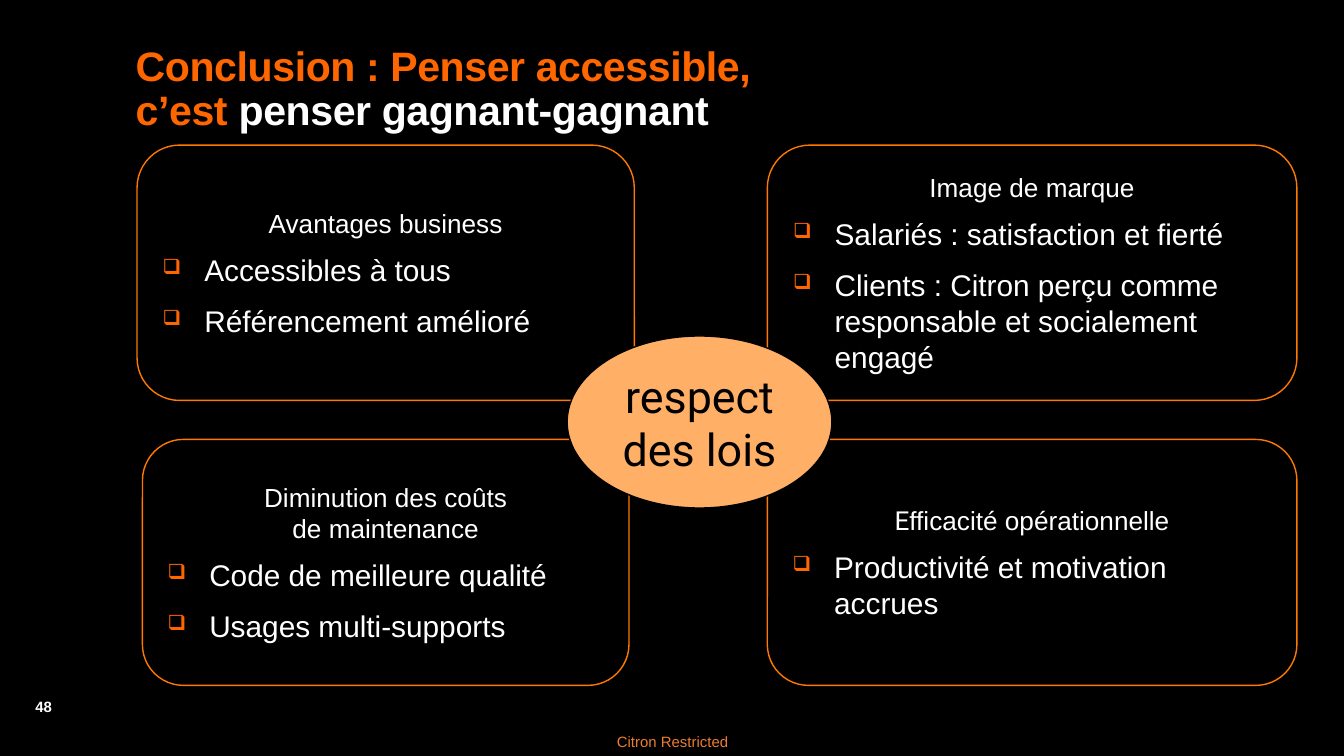
from lxml import etree
from pptx import Presentation
from pptx import util as u
from pptx.dml.color import RGBColor
from pptx.enum import shapes, text
from pptx.oxml import ns

CELL = u.Inches(0.1)
COLUMNS, ROWS = 100, 56.25
BLACK, WHITE, ORANGE = "000000", "FFFFFF", "FF6600"
BORDER, PEACH, FOOTER = "FF7900", "FFAF66", "ED7D31"
CENTER, LEFT = text.PP_ALIGN.CENTER, text.PP_ALIGN.LEFT
MIDDLE, TOP = text.MSO_ANCHOR.MIDDLE, text.MSO_ANCHOR.TOP

CARDS = [
    ((10.2, 10.8, 37, 19), [("Avantages business", "Arial")],
     ["Accessibles à tous", "Référencement amélioré"]),
    ((57.1, 10.8, 39.4, 19), [("Image de marque", "Arial")],
     ["Salariés : satisfaction et fierté",
      "Clients : Citron perçu comme responsable et socialement engagé"]),
    ((10.6, 32.7, 36.2, 18.3), [("Diminution des coûts\nde maintenance", "Arial")],
     ["Code de meilleure qualité", "Usages multi-supports"]),
    ((57.1, 32.7, 39.4, 18.3), [("E", "Roboto"), ("fficacité opérationnelle", "Arial")],
     ["Productivité et motivation accrues"]),
]


def color(value):
    return RGBColor.from_string(value)


def write(para, words, size=16, font="Arial", ink=WHITE, bold=False, spacing=0):
    for index, line in enumerate(words.split("\n")):
        if index:
            para.add_line_break()
        if not line:
            continue
        span = para.add_run()
        span.text = line
        span.font.size = u.Pt(size)
        span.font.name = font
        span.font.bold = bold
        span.font.color.rgb = color(ink)
        if spacing:
            span.font._element.set("spc", str(round(spacing * 100)))


def add_bullet(para):
    props = para._p.get_or_add_pPr()
    indent = u.Inches(0.31)
    props.set("marL", str(indent))
    props.set("indent", str(-indent))
    tint = etree.SubElement(props, ns.qn("a:buClr"))
    etree.SubElement(tint, ns.qn("a:srgbClr"), val=ORANGE)
    etree.SubElement(props, ns.qn("a:buSzPct"), val="70000")
    etree.SubElement(props, ns.qn("a:buChar"), char="❑")


class SlideBuilder:
    def __init__(self, deck):
        self.slide = deck.slides.add_slide(deck.slide_layouts[5])
        fill = self.slide.background.fill
        fill.solid()
        fill.fore_color.rgb = color(BLACK)

    def grid(self, *cells):
        return [u.Emu(round(cell * CELL)) for cell in cells]

    def frame(self, box, anchor=MIDDLE, wrap=True):
        frame = box.text_frame
        frame.word_wrap = wrap
        frame.auto_size = text.MSO_AUTO_SIZE.NONE
        frame.vertical_anchor = anchor
        return frame

    def title(self, place, spans):
        box = self.slide.shapes.title
        box.left, box.top, box.width, box.height = self.grid(*place)
        para = self.frame(box, TOP).paragraphs[0]
        para.alignment = LEFT
        para.line_spacing = 0.9
        for words, ink in spans:
            write(para, words, size=22, ink=ink, bold=True, spacing=-0.2)

    def label(self, place, words, margin=None, wrap=True, anchor=MIDDLE, **style):
        box = self.slide.shapes.add_textbox(*self.grid(*place))
        frame = self.frame(box, anchor, wrap)
        if margin is not None:
            frame.margin_left = frame.margin_right = margin
            frame.margin_top = frame.margin_bottom = margin
        para = frame.paragraphs[0]
        para.alignment = CENTER
        write(para, words, size=8, **style)

    def outline(self, kind, place, line, fill=None):
        box = self.slide.shapes.add_shape(kind, *self.grid(*place))
        box.shadow.inherit = False
        box.line.color.rgb = color(line)
        box.line.width = u.Pt(0.75)
        if fill:
            box.fill.solid()
            box.fill.fore_color.rgb = color(fill)
        else:
            box.fill.background()
        return self.frame(box)

    def card(self, place, heading, points):
        frame = self.outline(shapes.MSO_SHAPE.ROUNDED_RECTANGLE, place, BORDER)
        para = frame.paragraphs[0]
        para.alignment = CENTER
        para.space_after = u.Pt(7)
        for words, font in heading:
            write(para, words, size=14, font=font)
        for point in points:
            para = frame.add_paragraph()
            add_bullet(para)
            para.alignment = LEFT
            para.space_after = u.Pt(8)
            write(para, point)

    def hub(self, place, words):
        frame = self.outline(shapes.MSO_SHAPE.OVAL, place, BLACK, PEACH)
        para = frame.paragraphs[0]
        para.alignment = CENTER
        write(para, words, size=24, font="Roboto", ink=BLACK)


def main():
    deck = Presentation()
    deck.slide_width = round(COLUMNS * CELL)
    deck.slide_height = round(ROWS * CELL)
    builder = SlideBuilder(deck)
    builder.label((43.8, 54, 12.5, 2.3), "Citron Restricted", margin=0, ink=FOOTER)
    builder.label((1, 51.4, 4.5, 2.4), "48", wrap=False, anchor=TOP, bold=True)
    builder.title((9.1, 2.9, 88.2, 8.1), [
        ("Conclusion : Penser accessible,\nc’est ", ORANGE),
        ("penser gagnant-gagnant", WHITE),
    ])
    for place, heading, points in CARDS:
        builder.card(place, heading, points)
    builder.hub((42.2, 25, 19.7, 12.8), "respect des lois")
    deck.save("out.pptx")


if __name__ == "__main__":
    main()
